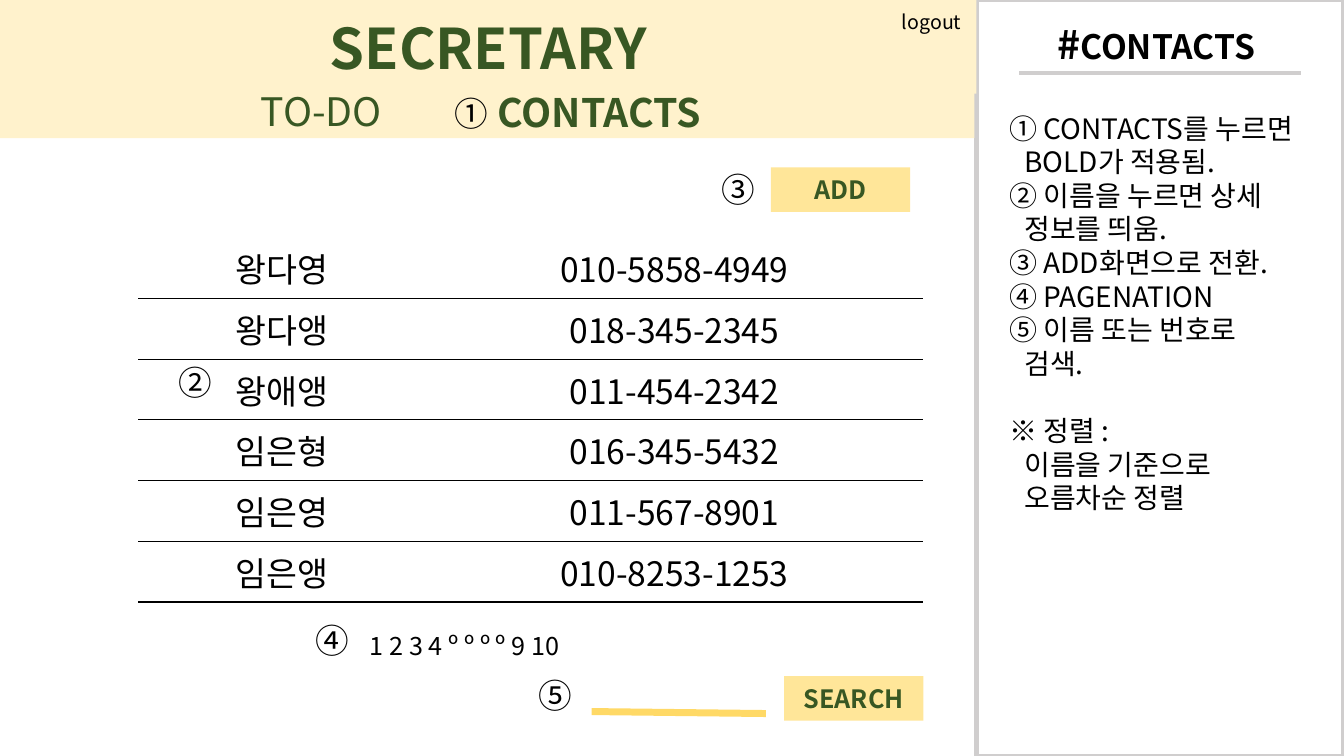
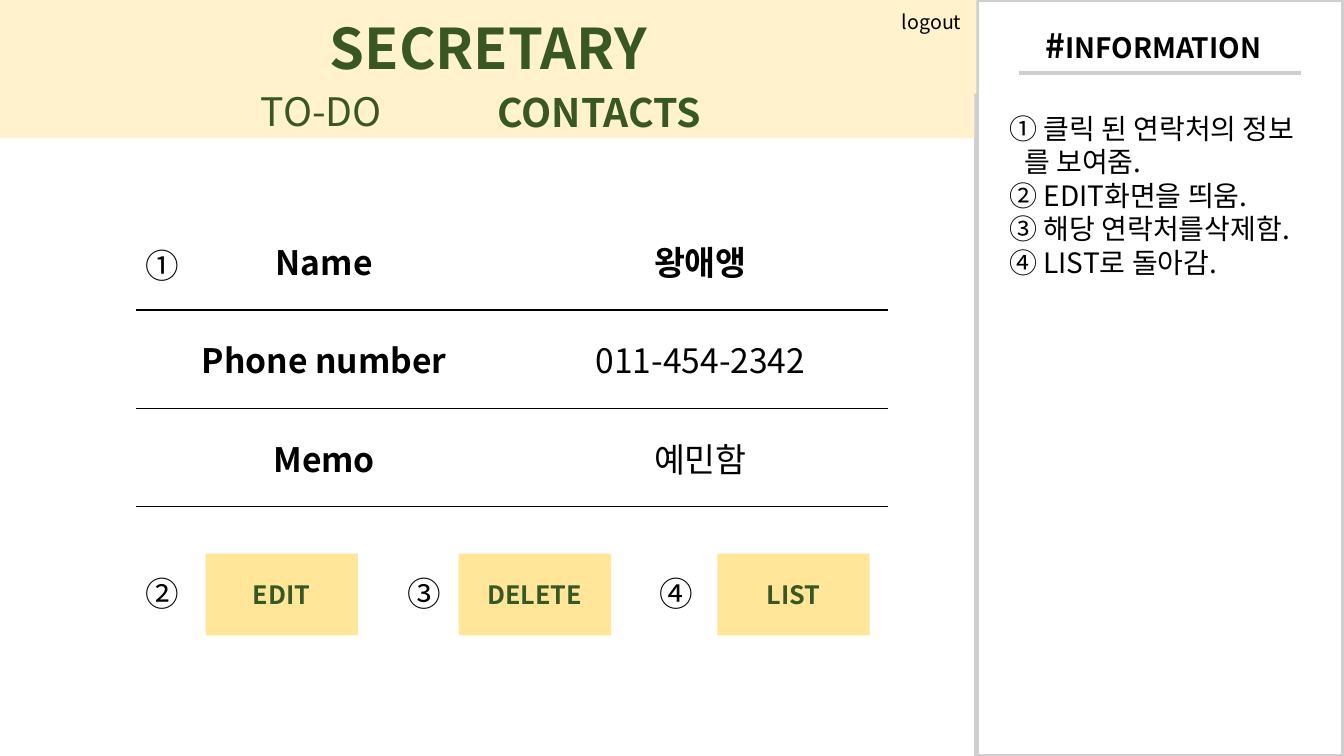
from lxml.etree import SubElement
from pptx import Presentation
from pptx.dml.color import RGBColor
from pptx.enum.shapes import MSO_CONNECTOR, MSO_SHAPE
from pptx.enum.text import MSO_ANCHOR, MSO_AUTO_SIZE, PP_ALIGN
from pptx.oxml import parse_xml
from pptx.oxml.ns import nsdecls, qn
from pptx.util import Cm, Pt

FONT = "Noto Sans CJK KR"
BLACK, WHITE, GRAY = "000000", "FFFFFF", "D0CECE"
GREEN, CREAM, YELLOW, GOLD = "385723", "FFF2CC", "FFE699", "FFD966"
HANG = Cm(0.38)


def color(value):
    return RGBColor.from_string(value)


class Wireframe:
    def __init__(self):
        self.deck = Presentation()
        self.deck.slide_width = Cm(33.87)
        self.deck.slide_height = Cm(19.05)
        self.page = None

    def add_span(self, para, text, size, ink=BLACK, bold=False):
        span = para.add_run()
        span.text = text
        span.font.size = Pt(size)
        span.font.bold = bold
        span.font.color.rgb = color(ink)
        span.font.name = FONT
        SubElement(span._r.get_or_add_rPr(), qn("a:ea"), typeface=FONT)

    def place(self, box, left, top, width, height):
        box.left, box.top = Cm(left), Cm(top)
        box.width, box.height = Cm(width), Cm(height)
        frame = box.text_frame
        frame.word_wrap = True
        frame.auto_size = MSO_AUTO_SIZE.NONE
        frame.vertical_anchor = MSO_ANCHOR.TOP
        return frame

    def title(self, text, size, left, top, width, height):
        frame = self.place(self.page.shapes.title, left, top, width, height)
        para = frame.paragraphs[0]
        para.alignment = PP_ALIGN.LEFT
        self.add_span(para, "#", size + 4, bold=True)
        self.add_span(para, text, size, bold=True)

    def guide(self, items):
        frame = self.place(self.page.placeholders[1], 25.18, 2.67, 8.68, 10.52)
        for index, (gap, lines) in enumerate(items):
            para = frame.add_paragraph() if index else frame.paragraphs[0]
            para.line_spacing = 1.0
            para.space_before = Pt(gap)
            layout = para._p.get_or_add_pPr()
            layout.set("marL", str(HANG))
            layout.set("indent", str(-HANG))
            SubElement(layout, qn("a:buNone"))
            for number, line in enumerate(lines):
                if number:
                    para.add_line_break()
                self.add_span(para, line, 20)

    def text(self, text, left, top, width, height, size, ink=BLACK, bold=False, wrap=True):
        box = self.page.shapes.add_textbox(Cm(left), Cm(top), Cm(width), Cm(height))
        box.text_frame.word_wrap = wrap
        self.add_span(box.text_frame.paragraphs[0], text, size, ink, bold)

    def marker(self, sign, left, top):
        self.text(sign, left, top, 1.37, 1.27, 24, wrap=False)

    def block(self, left, top, width, height, fill=None, edge=None, text="", size=18):
        box = self.page.shapes.add_shape(
            MSO_SHAPE.RECTANGLE, Cm(left), Cm(top), Cm(width), Cm(height))
        box.shadow.inherit = False
        if fill:
            box.fill.solid()
            box.fill.fore_color.rgb = color(fill)
        else:
            box.fill.background()
        if edge:
            box.line.color.rgb = color(edge)
            box.line.width = Pt(3)
        else:
            box.line.fill.background()
        if text:
            box.text_frame.vertical_anchor = MSO_ANCHOR.MIDDLE
            para = box.text_frame.paragraphs[0]
            para.alignment = PP_ALIGN.CENTER
            self.add_span(para, text, size, GREEN, True)

    def line(self, left, top, right, bottom, ink, weight):
        rule = self.page.shapes.add_connector(
            MSO_CONNECTOR.STRAIGHT, Cm(left), Cm(top), Cm(right), Cm(bottom))
        rule.line.color.rgb = color(ink)
        rule.line.width = Pt(weight)
        SubElement(rule._element.spPr, qn("a:effectLst"))

    def border(self, cell, has_top):
        visible = {"lnL": False, "lnR": False, "lnT": has_top, "lnB": True}
        for index, (side, shown) in enumerate(visible.items()):
            paint = (f'<a:solidFill><a:srgbClr val="{BLACK}"/></a:solidFill>'
                     if shown else "<a:noFill/>")
            edge = parse_xml(f'<a:{side} {nsdecls("a")} w="{Pt(1)}">{paint}</a:{side}>')
            cell._tc.get_or_add_tcPr().insert(index, edge)

    def table(self, left, top, widths, row_height, rows):
        grid = self.page.shapes.add_table(
            len(rows), len(widths), Cm(left), Cm(top),
            Cm(sum(widths)), Cm(row_height * len(rows))).table
        grid.first_row = grid.horz_banding = False
        for column, width in zip(grid.columns, widths):
            column.width = Cm(width)
        for number, row in enumerate(rows):
            grid.rows[number].height = Cm(row_height)
            for position, (text, bold) in enumerate(row):
                cell = grid.cell(number, position)
                cell.fill.solid()
                cell.fill.fore_color.rgb = color(WHITE)
                cell.vertical_anchor = MSO_ANCHOR.MIDDLE
                para = cell.text_frame.paragraphs[0]
                para.alignment = PP_ALIGN.CENTER
                self.add_span(para, text, 24, bold=bold)
                self.border(cell, number > 0)

    def start_page(self):
        self.page = self.deck.slides.add_slide(self.deck.slide_layouts[1])
        self.block(24.61, 0, 9.25, 19.05, edge=GRAY)
        self.line(25.68, 1.85, 32.79, 1.85, GRAY, 2.75)
        self.block(0, 0, 24.61, 2.36, CREAM, text="SECRETARY", size=40)
        self.block(0, 1.85, 24.56, 1.63, CREAM)
        self.text("TO-DO", 6.32, 2.08, 4.01, 1.45, 28, GREEN)
        self.text("CONTACTS", 12.29, 2.11, 5.84, 1.45, 28, GREEN, True)
        self.text("logout", 22.48, 0.13, 2.16, 0.86, 14)


wireframe = Wireframe()

wireframe.start_page()
wireframe.title("CONTACTS", 24, 26.39, 0.38, 5.84, 1.45)
wireframe.guide([
    (0, ["① CONTACTS를 누르면", "BOLD가 적용됨."]),
    (0, ["② 이름을 누르면 상세", "정보를 띄움."]),
    (0, ["③ ADD화면으로 전환."]),
    (0, ["④ PAGENATION"]),
    (0, ["⑤ 이름 또는 번호로", "검색."]),
    (24, ["※ 정렬 :", "이름을 기준으로", "오름차순 정렬"]),
])
contacts = [
    ("왕다영", "010-5858-4949"),
    ("왕다앵", "018-345-2345"),
    ("왕애앵", "011-454-2342"),
    ("임은형", "016-345-5432"),
    ("임은영", "011-567-8901"),
    ("임은앵", "010-8253-1253"),
]
wireframe.table(3.48, 5.99, [7.24, 12.55], 1.53,
                [[(name, False), (phone, False)] for name, phone in contacts])
for sign, left, top in [("①", 11.2, 2.21), ("②", 4.24, 8.99), ("③", 17.93, 4.14),
                        ("④", 7.7, 15.49), ("⑤", 13.31, 16.89)]:
    wireframe.marker(sign, left, top)
wireframe.text("1 2 3 4 º º º º 9 10", 9.07, 15.75, 6.45, 1.02, 18)
for label, left, top in [("ADD", 19.43, 4.22), ("SEARCH", 19.76, 17.04)]:
    wireframe.block(left, top, 3.51, 1.12, YELLOW, text=label)
wireframe.line(14.91, 17.93, 19.3, 17.98, GOLD, 5)

wireframe.start_page()
wireframe.title("INFORMATION", 20, 26.09, 0.51, 6.32, 1.27)
wireframe.guide([
    (0, ["① 클릭 된 연락처의 정보", "를 보여줌."]),
    (0, ["② EDIT화면을 띄움."]),
    (0, ["③ 해당 연락처를삭제함."]),
    (0, ["④ LIST로 돌아감."]),
])
wireframe.table(3.43, 5.33, [9.48, 9.48], 2.48, [
    [("Name", True), ("왕애앵", True)],
    [("Phone number", True), ("011-454-2342", False)],
    [("Memo", True), ("예민함", False)],
])
wireframe.marker("①", 3.43, 6.05)
for sign, marker_left, label, left in [("②", 3.43, "EDIT", 5.18),
                                       ("③", 10.03, "DELETE", 11.56),
                                       ("④", 16.36, "LIST", 18.08)]:
    wireframe.marker(sign, marker_left, 14.3)
    wireframe.block(left, 13.95, 3.84, 2.06, YELLOW, text=label)

wireframe.deck.save("out.pptx")
